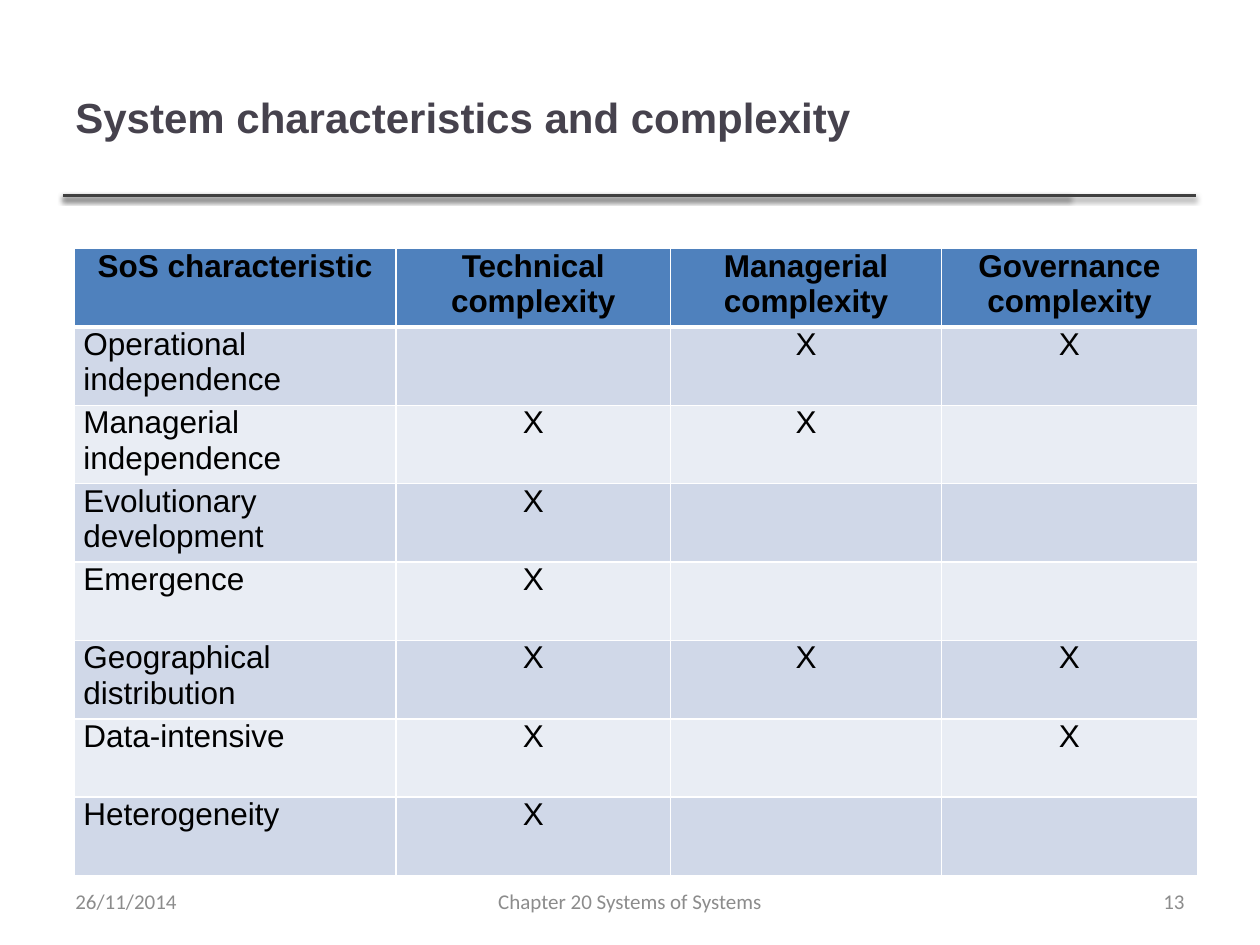
import pptx
import pptx.util
import pptx.dml.color
import pptx.enum.shapes
import pptx.enum.text
import pptx.oxml
import pptx.oxml.ns

Cm, Pt = pptx.util.Cm, pptx.util.Pt
ALIGN = pptx.enum.text.PP_ALIGN
HUES = {"title": "46424D", "rule": "404040", "foot": "8C8C8C", "text": "000000",
        "head": "4F81BD", "odd": "D0D8E8", "even": "E9EDF4", "edge": "FFFFFF"}

TITLE = "System characteristics and complexity"
HEADS = ["SoS characteristic", "Technical\ncomplexity",
         "Managerial\ncomplexity", "Governance\ncomplexity"]
TRAITS = [
    ("Operational independence", "", "X", "X"),
    ("Managerial independence", "X", "X", ""),
    ("Evolutionary development", "X", "", ""),
    ("Emergence", "X", "", ""),
    ("Geographical distribution", "X", "X", "X"),
    ("Data-intensive", "X", "", "X"),
    ("Heterogeneity", "X", "", ""),
]
FOOT = [  # text, left, width, alignment
    ("26/11/2014", 1.27, 5.93, ALIGN.LEFT),
    ("Chapter 20 Systems of Systems", 8.68, 8.04, ALIGN.CENTER),
    ("13", 18.2, 5.93, ALIGN.RIGHT),
]
RULES = [21.56, 24.1]  # right ends of the two lines under the title
WIDTHS = [6.48, 5.54, 5.46, 5.16]
ROW = 1.58
NS = pptx.oxml.ns.nsdecls("a")


def tint(name):
    return pptx.dml.color.RGBColor.from_string(HUES[name])


def style(para, size, face, hue, align, bold=False):
    para.alignment = align
    font = para.font
    font.size, font.name, font.bold = Pt(size), face, bold
    font.color.rgb = tint(hue)


def label(slide, text, box, *look):
    """Add a text box, centred vertically; box is left, top, width, height."""
    frame = slide.shapes.add_textbox(*map(Cm, box)).text_frame
    frame.word_wrap = True
    frame.vertical_anchor = pptx.enum.text.MSO_ANCHOR.MIDDLE
    para = frame.paragraphs[0]
    para.text = text
    style(para, *look)


def rule(slide, end):
    line = slide.shapes.add_connector(
        pptx.enum.shapes.MSO_CONNECTOR.STRAIGHT, Cm(1.27), Cm(3.94), Cm(end), Cm(3.94))
    line.line.color.rgb = tint("rule")
    line.line.width = Pt(2)
    line._element.spPr.append(pptx.oxml.parse_xml(
        f'<a:effectLst {NS}><a:outerShdw blurRad="{Pt(3.1)}" dist="{Pt(1.6)}" '
        'dir="5400000" rotWithShape="0"><a:srgbClr val="000000">'
        '<a:alpha val="38000"/></a:srgbClr></a:outerShdw></a:effectLst>'))


def border(cell, row):
    """Draw white edges, thicker between the header and the first row."""
    sizes = {"L": 1, "R": 1, "T": 3 if row == 1 else 1, "B": 3 if row == 0 else 1}
    for side, size in sizes.items():
        cell._tc.get_or_add_tcPr().append(pptx.oxml.parse_xml(
            f'<a:ln{side} {NS} w="{Pt(size)}"><a:solidFill>'
            f'<a:srgbClr val="{HUES["edge"]}"/></a:solidFill></a:ln{side}>'))


def grid(slide):
    rows = [HEADS, *TRAITS]
    table = slide.shapes.add_table(
        len(rows), len(WIDTHS), Cm(1.5), Cm(5.01),
        Cm(sum(WIDTHS)), Cm(ROW * len(rows))).table
    for col, width in zip(table.columns, WIDTHS):
        col.width = Cm(width)
    for r, words in enumerate(rows):
        table.rows[r].height = Cm(ROW)
        fill = "head" if r == 0 else "odd" if r % 2 else "even"
        for c, word in enumerate(words):
            cell = table.cell(r, c)
            cell.margin_left = cell.margin_right = Cm(0.18)
            cell.margin_top = cell.margin_bottom = 0
            border(cell, r)
            cell.fill.solid()
            cell.fill.fore_color.rgb = tint(fill)
            para = cell.text_frame.paragraphs[0]
            para.text = word
            align = ALIGN.LEFT if r and c == 0 else ALIGN.CENTER
            style(para, 18, "Arial", "text", align, r == 0)
            if r:
                para.space_after = Pt(3)


def main():
    deck = pptx.Presentation()
    deck.slide_width, deck.slide_height = Cm(25.4), Cm(19.05)
    slide = deck.slides.add_slide(deck.slide_layouts[6])
    for end in RULES:
        rule(slide, end)
    label(slide, TITLE, (1.27, 0.76, 20.27, 3.18), 24, "Arial", "title", ALIGN.LEFT, True)
    for text, left, width, align in FOOT:
        label(slide, text, (left, 17.65, width, 1.02), 12, "Calibri", "foot", align)
    grid(slide)
    deck.save("out.pptx")


if __name__ == "__main__":
    main()
